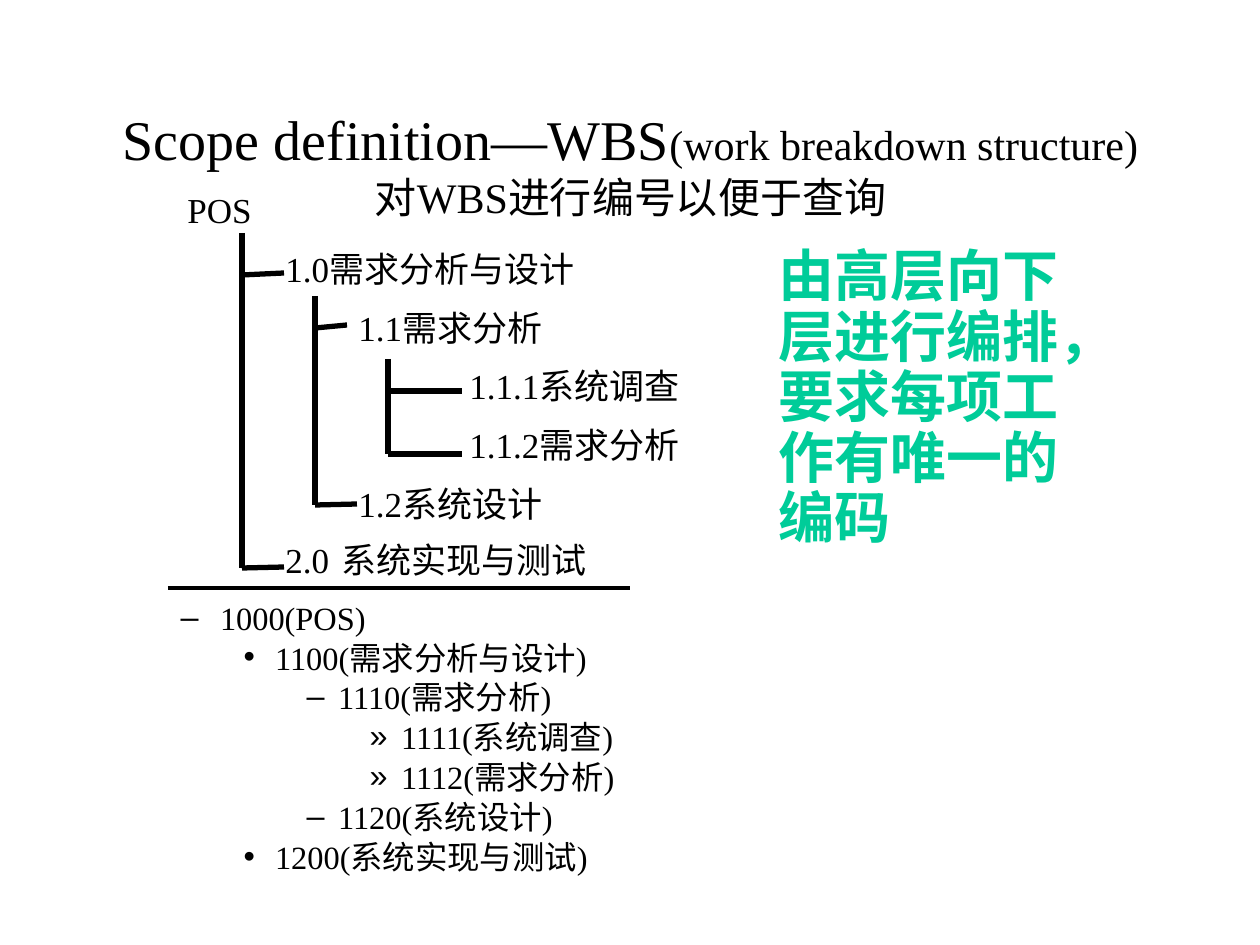
from lxml import etree
from pptx import Presentation
from pptx.dml import color
from pptx.enum import shapes, text
from pptx.oxml import ns
from pptx import util as u

FONT = "Times New Roman"
BLACK = "000000"
GREEN = "00CC99"


def px(n):
    return u.Emu(round(n * 914400 / 126))


def rgb(code):
    return color.RGBColor.from_string(code)


class Page:
    def __init__(self, deck):
        self.slide = deck.slides.add_slide(deck.slide_layouts[1])

    def run(self, para, words, size, ink=BLACK, bold=False):
        run = para.add_run()
        run.text = words
        run.font.name = FONT
        run.font.size = u.Pt(size)
        run.font.bold = bold
        run.font.color.rgb = rgb(ink)

    def frame(self, shape, box, anchor=text.MSO_ANCHOR.TOP):
        shape.left, shape.top, shape.width, shape.height = map(px, box)
        frame = shape.text_frame
        frame.word_wrap = True
        frame.auto_size = text.MSO_AUTO_SIZE.NONE
        frame.vertical_anchor = anchor
        return frame

    def paras(self, frame, items):
        for i, item in enumerate(items):
            yield (frame.add_paragraph() if i else frame.paragraphs[0]), item

    def title(self, box, lead, rest, below):
        frame = self.frame(self.slide.shapes.title, box, text.MSO_ANCHOR.MIDDLE)
        para = frame.paragraphs[0]
        para.alignment = text.PP_ALIGN.CENTER
        self.run(para, lead, 32)
        self.run(para, rest, 24)
        para.add_line_break()
        self.run(para, below, 24)

    def list(self, box, items):
        frame = self.frame(self.slide.placeholders[1], box)
        for para, (level, words) in self.paras(frame, items):
            para.level = level
            para.line_spacing = 0.8
            para.space_before = u.Pt(5 if level > 1 else 0)
            self.run(para, words, 18.5)

    def tree(self, box, items):
        shape = self.slide.shapes.add_textbox(0, 0, 0, 0)
        frame = self.frame(shape, box, text.MSO_ANCHOR.MIDDLE)
        frame.margin_top = frame.margin_right = 0
        for para, (indent, *parts) in self.paras(frame, items):
            props = para._p.get_or_add_pPr()
            props.set("marL", str(px(indent)))
            props.set("indent", "0")
            para.line_spacing = u.Pt(33.6 if indent else 23)
            for i, words in enumerate(parts):
                if i:
                    self.run(para, " ", 28, bold=True)
                self.run(para, words, 20)

    def note(self, box, words):
        shape = self.slide.shapes.add_textbox(0, 0, 0, 0)
        para = self.frame(shape, box).paragraphs[0]
        para.line_spacing = 0.9
        self.run(para, words, 32, GREEN, True)

    def line(self, x1, y1, x2, y2, width=3):
        line = self.slide.shapes.add_connector(
            shapes.MSO_CONNECTOR.STRAIGHT, px(x1), px(y1), px(x2), px(y2))
        line.line.color.rgb = rgb(BLACK)
        line.line.width = u.Pt(width)
        etree.SubElement(line._element.spPr, ns.qn("a:effectLst"))

    def branch(self, x, top, foot, twigs):
        self.line(x, top, x, foot)
        for start, end, tip in twigs:
            self.line(x, start, tip, end)


def main():
    deck = Presentation()
    deck.slide_width, deck.slide_height = px(1260), px(945)
    page = Page(deck)
    page.title((95, 84, 1071, 158), "Scope definition—WBS",
               "(work breakdown structure)", "对WBS进行编号以便于查询")
    page.tree((175, 189, 525, 402), [
        (0, "POS"),
        (98, "1.0需求分析与设计"),
        (171, "1.1需求分析"),
        (282, "1.1.1系统调查"),
        (282, "1.1.2需求分析"),
        (171, "1.2系统设计"),
        (98, "2.0", "系统实现与测试"),
    ])
    page.branch(242, 233, 568, [(568, 567, 284), (275, 273, 284)])
    page.branch(315, 296, 505, [(505, 504, 357), (328, 325, 347)])
    page.branch(388, 359, 454, [(454, 454, 462), (391, 391, 462)])
    page.list((105, 599, 546, 346), [
        (1, "1000(POS)"),
        (2, "1100(需求分析与设计)"),
        (3, "1110(需求分析)"),
        (4, "1111(系统调查)"),
        (4, "1112(需求分析)"),
        (3, "1120(系统设计)"),
        (2, "1200(系统实现与测试)"),
    ])
    page.line(168, 588, 630, 588, 2.25)
    page.note((766, 242, 357, 418),
              "由高层向下层进行编排，要求每项工作有唯一的编码")
    deck.save("out.pptx")


if __name__ == "__main__":
    main()
